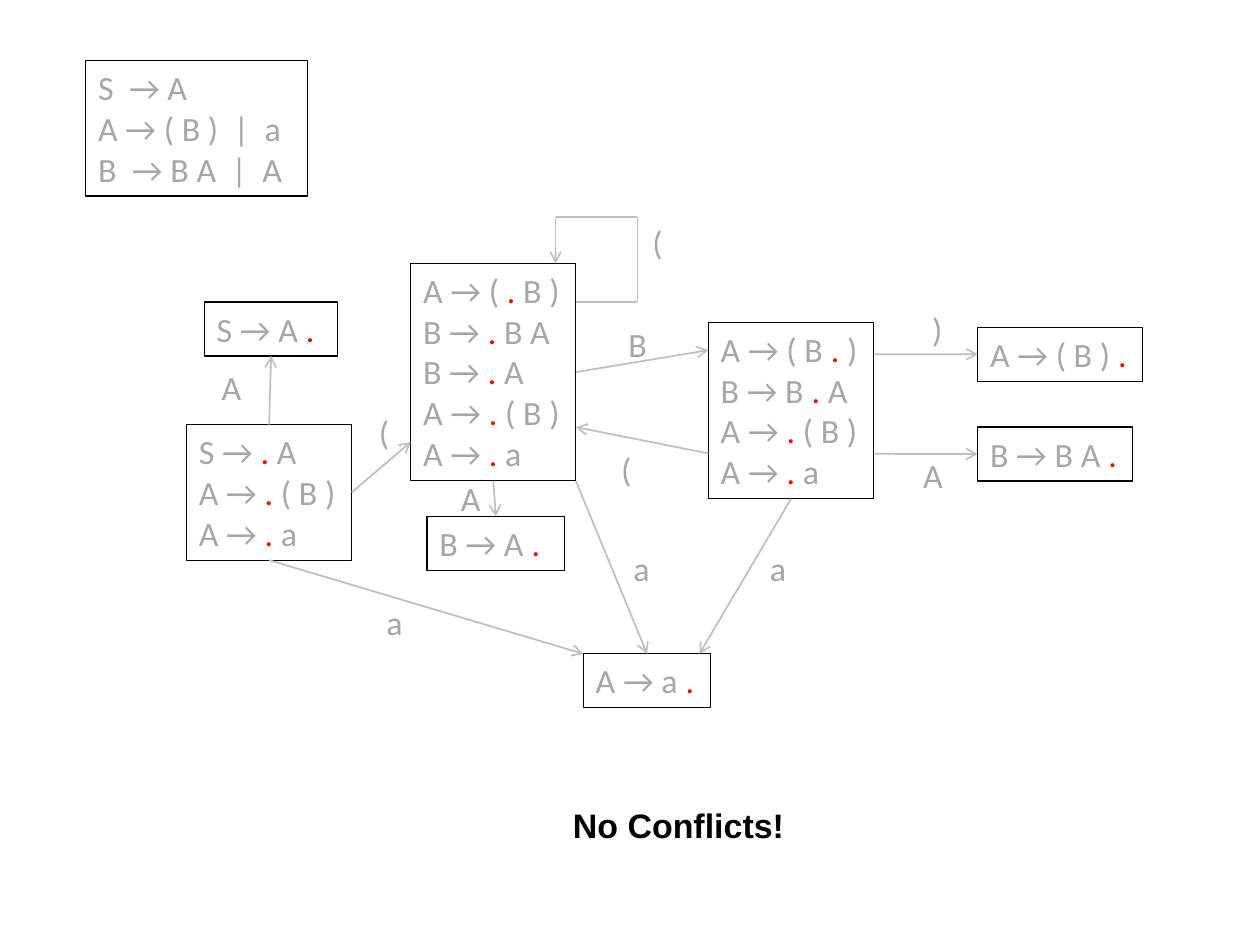
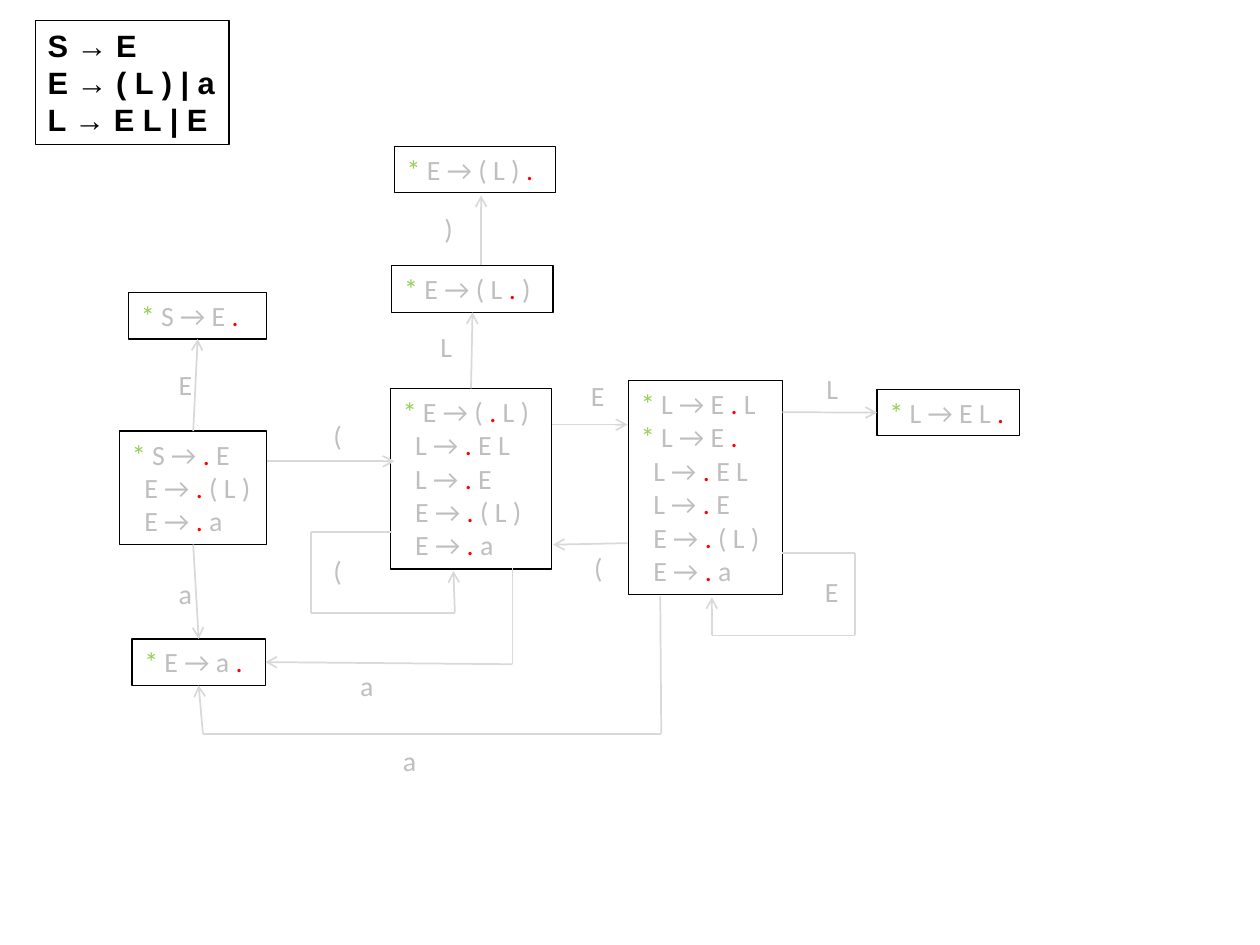
from dataclasses import dataclass
from itertools import groupby, pairwise

from lxml.etree import SubElement
from pptx import Presentation
from pptx.dml.color import RGBColor
from pptx.enum.shapes import MSO_CONNECTOR as Line, MSO_SHAPE as Form
from pptx.enum.text import MSO_ANCHOR as Anchor, MSO_AUTO_SIZE as Fit, PP_ALIGN as Align
from pptx.oxml.ns import qn
from pptx.util import Cm, Pt

BLACK = RGBColor(0x00, 0x00, 0x00)
RED = RGBColor(0xFF, 0x00, 0x00)
GREEN = RGBColor(0x92, 0xD0, 0x50)
DARK = RGBColor(0xA6, 0xA6, 0xA6)
MID = RGBColor(0xBF, 0xBF, 0xBF)
PALE = RGBColor(0xD9, 0xD9, 0xD9)

MARKS = {".": RED, "*": GREEN}
EMS = {"(": 0.3, ")": 0.3, "a": 0.48, "A": 0.58, "B": 0.54, "E": 0.49, "L": 0.42}
PAD = 0.26
PITCH = 0.0425
TOP, LEFT, BOTTOM, RIGHT = range(4)


@dataclass
class Style:
    """Font, size, weight and colours of a group of parts."""
    size: float
    ink: RGBColor
    line: RGBColor = BLACK
    font: str = "Calibri"
    bold: bool = False


def tall(count, style):
    """Return the height in cm of a box of text lines."""
    return PAD + PITCH * style.size * count


def write(shape, lines, style):
    """Fill a shape with text lines, colouring dots and stars."""
    frame = shape.text_frame
    frame.word_wrap = False
    frame.auto_size = Fit.SHAPE_TO_FIT_TEXT
    frame.vertical_anchor = Anchor.TOP
    starred = any(line.startswith("*") for line in lines)
    for i, line in enumerate(lines):
        para = frame.add_paragraph() if i else frame.paragraphs[0]
        para.alignment = Align.LEFT
        if starred and not line.startswith("*"):
            para._p.get_or_add_pPr().set("marL", str(Cm(0.25)))
        for tint, chars in groupby(line, lambda c: MARKS.get(c, style.ink)):
            run = para.add_run()
            run.text = "".join(chars)
            run.font.name = style.font
            run.font.size = Pt(style.size)
            run.font.bold = style.bold
            run.font.color.rgb = tint


def frame_box(slide, x, y, wide, lines, style):
    """Draw an outlined box as tall as its lines."""
    box = slide.shapes.add_shape(
        Form.RECTANGLE, Cm(x), Cm(y), Cm(wide), Cm(tall(len(lines), style)))
    box.shadow.inherit = False
    box.fill.background()
    box.line.color.rgb = BLACK
    box.line.width = Pt(0.75)
    write(box, lines, style)
    return box


def label(slide, x, y, wide, text, style):
    """Place one line of free text."""
    box = slide.shapes.add_textbox(Cm(x), Cm(y), Cm(wide), Cm(tall(1, style)))
    write(box, [text], style)


def route(slide, x, y, ends, boxes, style):
    """Draw straight lines through the ends, with an arrow at the last."""
    for start, stop in pairwise(ends):
        pair = (start, stop)
        spots = [(0, 0) if isinstance(end[0], str) else end for end in pair]
        (ax, ay), (bx, by) = spots
        wire = slide.shapes.add_connector(
            Line.STRAIGHT, Cm(x + ax), Cm(y + ay), Cm(x + bx), Cm(y + by))
        wire.line.color.rgb = style.line
        wire.line.width = Pt(1)
        for end, join in zip(pair, (wire.begin_connect, wire.end_connect)):
            if isinstance(end[0], str):
                join(boxes[end[0]], end[1])
        if stop is ends[-1]:
            SubElement(wire.line._get_or_add_ln(), qn("a:tailEnd"), type="arrow")
        SubElement(wire._element.spPr, qn("a:effectLst"))


def machine(slide, x, y, states, moves, style):
    """Draw states and labelled moves relative to the corner x, y."""
    boxes = {name: frame_box(slide, x + dx, y + dy, wide, lines, style)
             for name, (dx, dy, wide, lines) in states.items()}
    for sign, (dx, dy), ends in moves:
        route(slide, x, y, ends, boxes, style)
        wide = 0.51 + EMS[sign] * Pt(style.size).cm
        label(slide, x + dx, y + dy, wide, sign, style)


NEST = {
    "start": (0, 4.22, 3.33, ["S → . A", "A → . ( B )", "A → . a"]),
    "accept": (0.36, 1.75, 2.69, ["S → A ."]),
    "open": (4.52, 0.97, 3.33, ["A → ( . B )", "B → . B A", "B → . A",
                                "A → . ( B )", "A → . a"]),
    "unit": (4.85, 6.07, 2.77, ["B → A ."]),
    "atom": (8, 8.84, 2.57, ["A → a ."]),
    "list": (10.52, 2.16, 3.33, ["A → ( B . )", "B → B . A",
                                 "A → . ( B )", "A → . a"]),
    "close": (15.95, 2.26, 3.33, ["A → ( B ) ."]),
    "join": (15.95, 4.27, 3.12, ["B → B A ."]),
}
NEST_MOVES = [
    ("A", (0.46, 2.92), [("start", TOP), ("accept", BOTTOM)]),
    ("(", (3.63, 3.84), [("start", RIGHT), (4.52, 4.57)]),
    ("a", (3.78, 7.67), [("start", BOTTOM), (8, 8.84)]),
    ("(", (9.14, 0), [(7.85, 1.75), (9.09, 1.75), (9.09, 0.03),
                      (7.44, 0.03), (7.44, 0.97)]),
    ("A", (5.28, 5.16), [("open", BOTTOM), ("unit", TOP)]),
    ("B", (8.66, 2.06), [("open", RIGHT), (10.52, 2.72)]),
    ("(", (8.51, 4.57), [(10.52, 4.8), (7.85, 4.27)]),
    ("a", (8.76, 6.58), [(7.85, 5.36), ("atom", TOP)]),
    ("a", (11.51, 6.58), [("list", BOTTOM), (10.34, 8.84)]),
    (")", (14.78, 1.75), [(13.85, 2.8), ("close", LEFT)]),
    ("A", (14.6, 4.7), [(13.85, 4.81), ("join", LEFT)]),
]

CHAIN = {
    "start": (0, 5.74, 2.97, ["* S → . E", "E → . ( L )", "E → . a"]),
    "open": (5.46, 4.88, 3.25, ["* E → ( . L )", "L → . E L", "L → . E",
                                "E → . ( L )", "E → . a"]),
    "accept": (0.18, 2.95, 2.79, ["* S → E ."]),
    "atom": (0.25, 9.93, 2.69, ["* E → a ."]),
    "tail": (15.27, 4.9, 2.87, ["* L → E L ."]),
    "body": (5.49, 2.41, 3.25, ["* E → ( L . )"]),
    "close": (5.54, 0, 3.25, ["* E → ( L ) ."]),
    "list": (10.26, 4.72, 3.1, ["* L → E . L", "* L → E .", "L → . E L",
                                "L → . E", "E → . ( L )", "E → . a"]),
}
CHAIN_MOVES = [
    ("E", (0.94, 4.34), [("start", TOP), ("accept", BOTTOM)]),
    ("a", (0.94, 8.56), [("start", BOTTOM), ("atom", TOP)]),
    ("(", (4.06, 5.36), [(2.97, 6.35), (5.54, 6.35)]),
    ("L", (6.22, 3.58), [("open", TOP), ("body", BOTTOM)]),
    (")", (6.3, 1.19), [(7.29, 2.39), (7.29, 0.99)]),
    ("E", (9.25, 4.55), [(8.71, 5.61), (10.24, 5.61)]),
    ("L", (14, 4.42), [(13.36, 5.36), ("tail", LEFT)]),
    ("(", (9.32, 8.03), [(10.24, 8), (8.74, 8.03)]),
    ("E", (13.97, 8.51), [(13.36, 8.2), (14.83, 8.2), (14.83, 9.86),
                          (11.94, 9.86), (11.94, 9.09)]),
    ("(", (4.06, 8.08), [(5.49, 7.77), (3.86, 7.77), (3.86, 9.4),
                         (6.76, 9.4), (6.73, 8.56)]),
    ("a", (4.6, 10.41), [(7.92, 8.51), (7.92, 10.44), ("atom", RIGHT)]),
    ("a", (5.46, 11.91), [(10.9, 9.07), (10.92, 11.84), (1.68, 11.84),
                          ("atom", BOTTOM)]),
]


def nest_slide(slide):
    """Build the slide of the nested bracket grammar."""
    style = Style(19.4, DARK, MID)
    rules = ["S  → A", "A → ( B )  |  a", "B  → B A  |  A"]
    frame_box(slide, 1.73, 1.22, 4.47, rules, style)
    label(slide, 11.3, 16.1, 4.83, "No Conflicts!",
          Style(19.4, BLACK, font="Arial", bold=True))
    machine(slide, 3.76, 4.34, NEST, NEST_MOVES, style)


def chain_slide(slide):
    """Build the slide of the list grammar."""
    rules = ["S → E", "E → ( L ) | a", "L → E L | E"]
    frame_box(slide, 0.71, 0.41, 3.91, rules,
              Style(17.6, BLACK, font="Arial", bold=True))
    machine(slide, 2.41, 2.95, CHAIN, CHAIN_MOVES, Style(15.9, MID, PALE))


def main():
    """Build and save the deck."""
    deck = Presentation()
    deck.slide_width, deck.slide_height = Cm(25.4), Cm(19.05)
    blank = deck.slide_layouts[6]
    for build in (nest_slide, chain_slide):
        build(deck.slides.add_slide(blank))
    deck.save("out.pptx")


if __name__ == "__main__":
    main()
